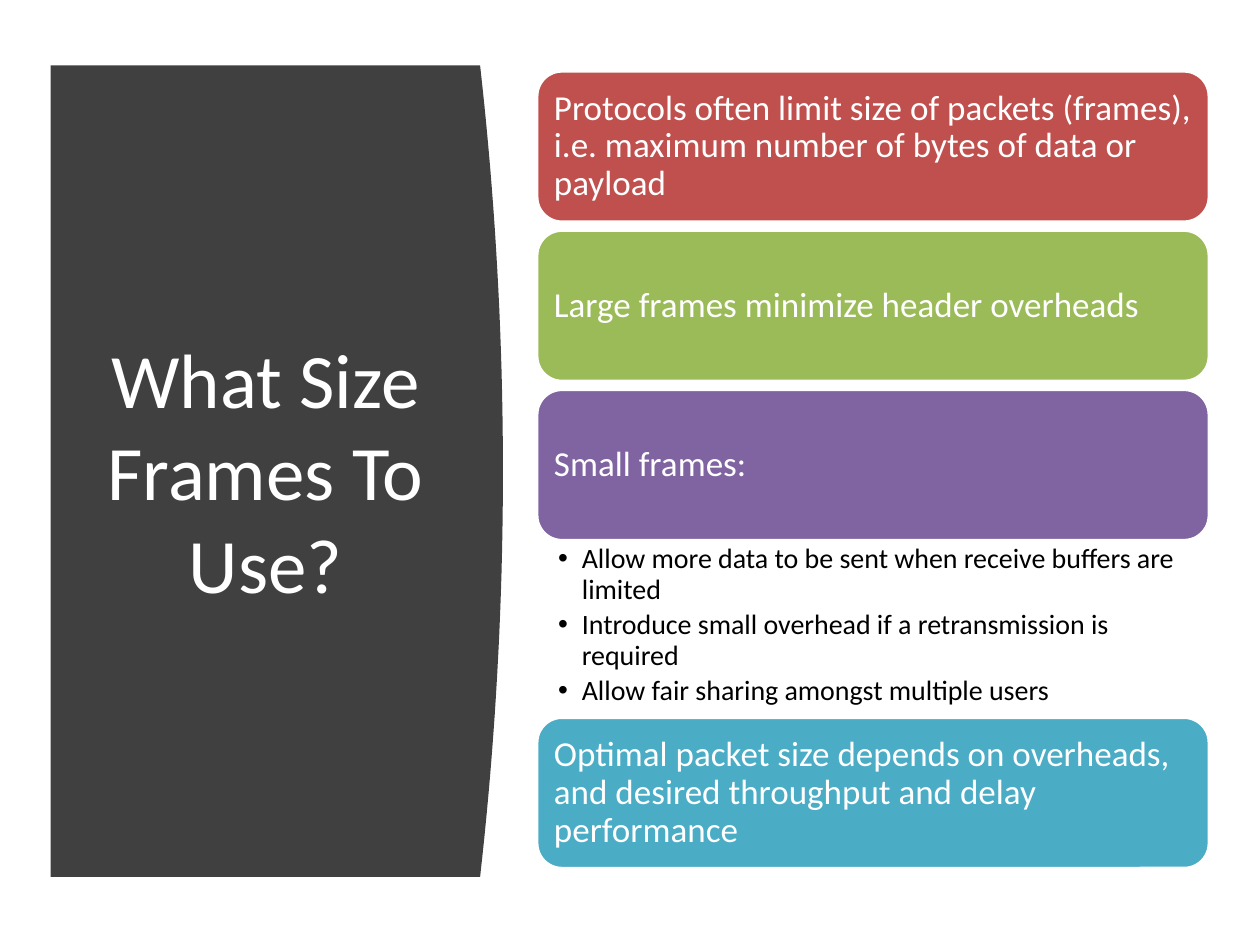
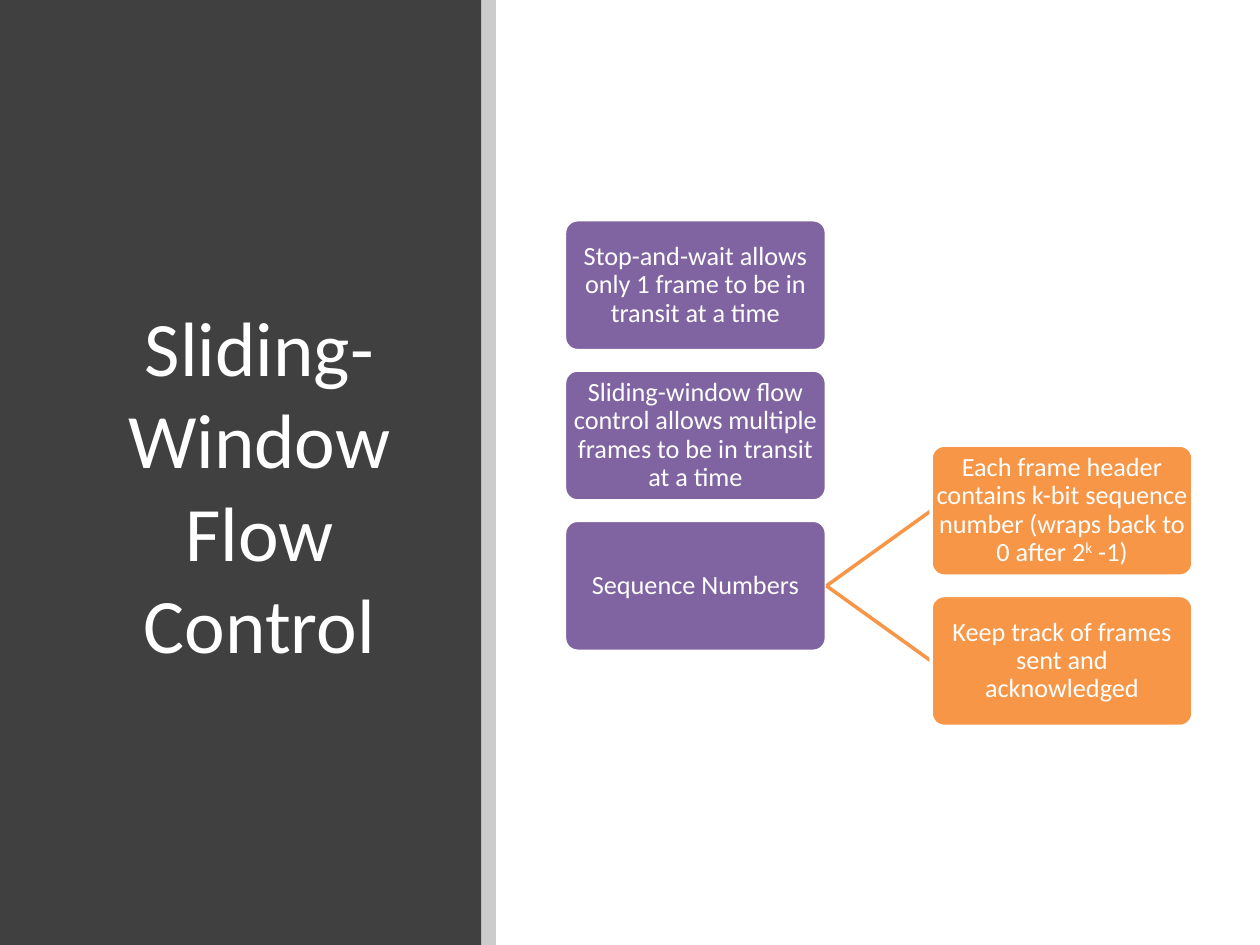
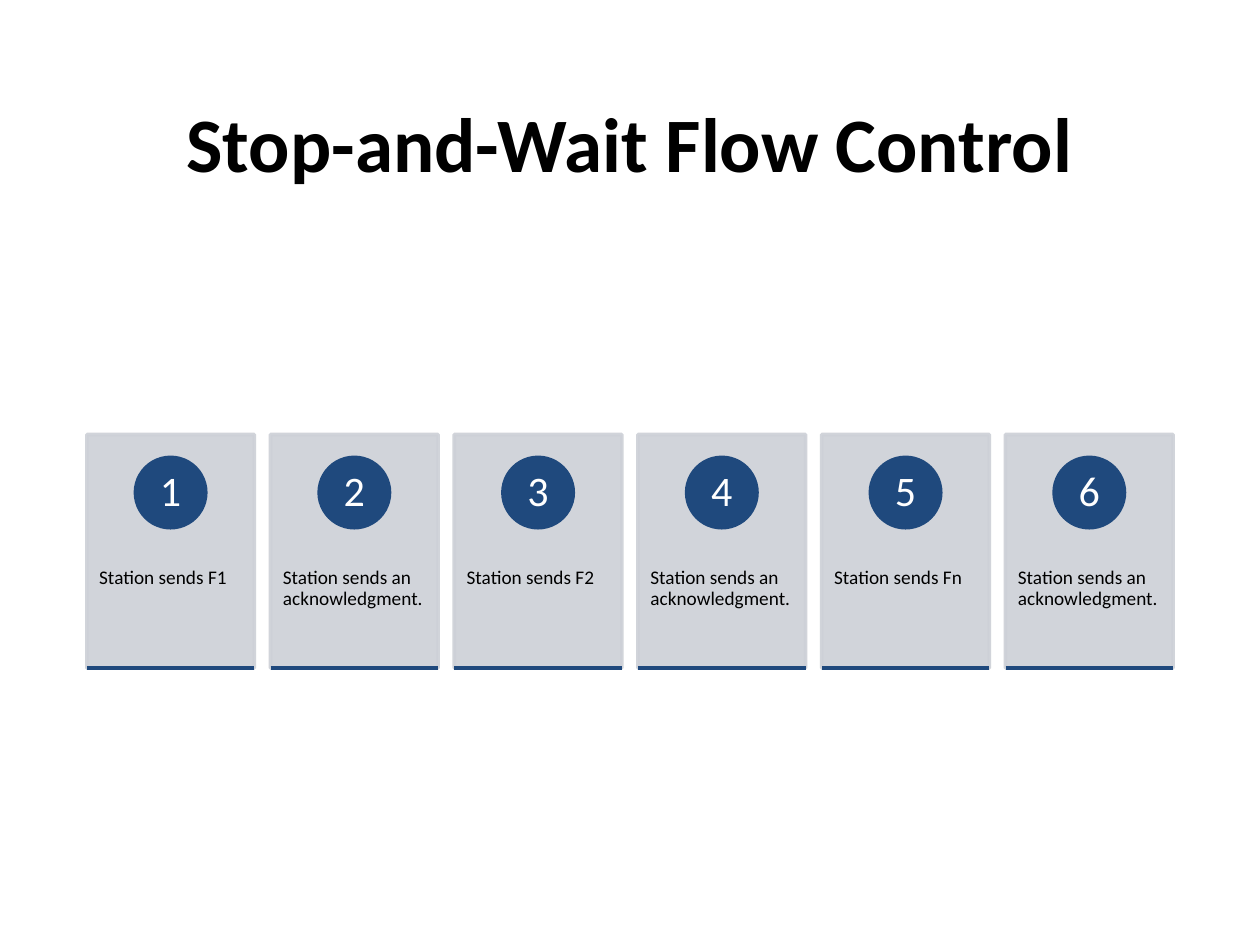
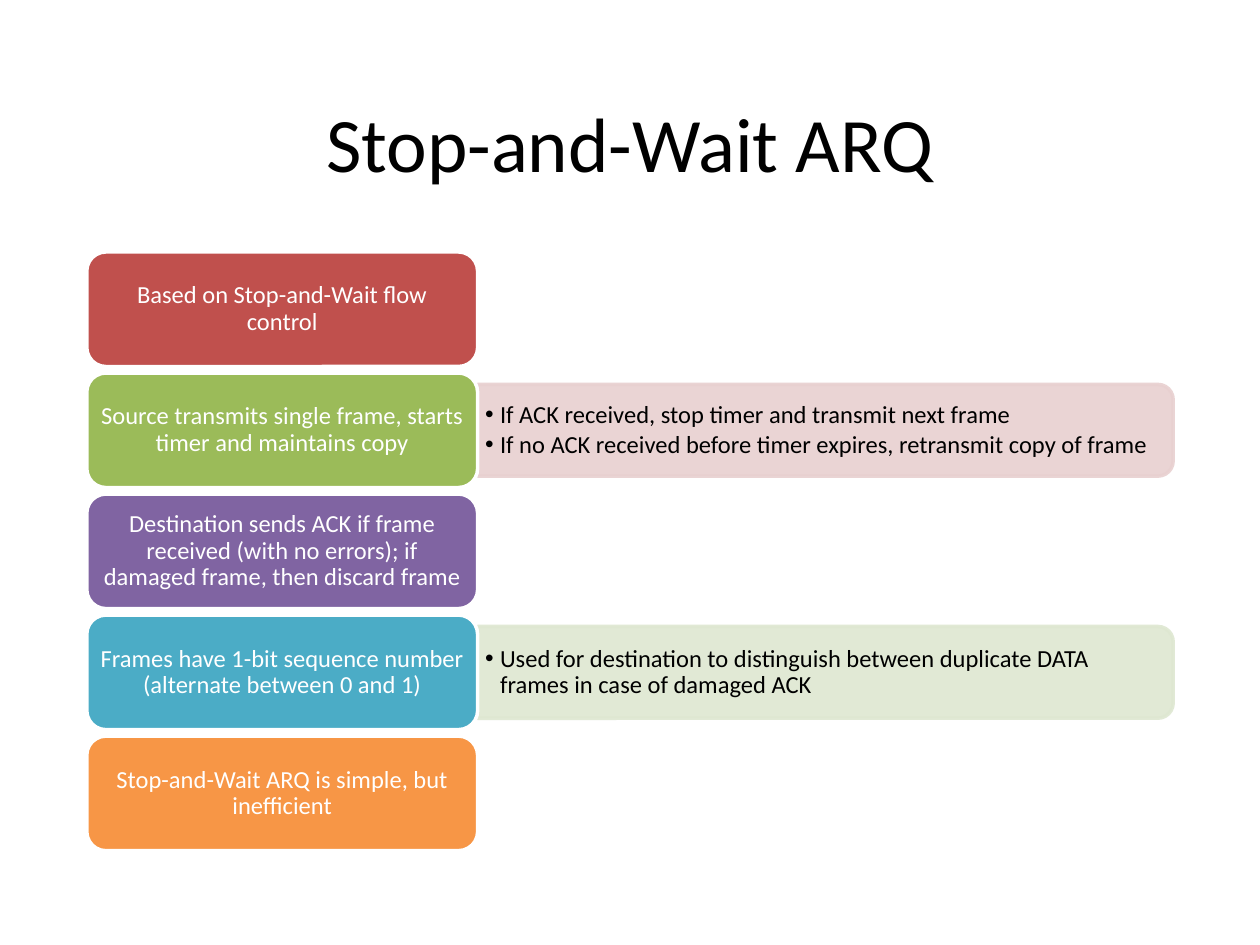
from lxml import etree
from pptx import Presentation, util as u
from pptx.dml.color import RGBColor
from pptx.enum import shapes as sh, text as tx
from pptx.oxml.ns import qn

HUES = {
    "white": "FFFFFF", "black": "000000", "dark": "404040",
    "red": "C0504D", "green": "9BBB59", "plum": "8064A2",
    "teal": "4BACC6", "gold": "F79646", "navy": "1F497D",
    "grey": "CDD0D7", "rose": "E8D0D0", "sage": "DEE7D1",
}
FONT = "Calibri"
WIDE, HIGH = 25.4, 19.05
HEAD = (1.75, 1.02, 21.9, 3.68)
KIND = sh.MSO_SHAPE
MID, TOP = tx.MSO_ANCHOR.MIDDLE, tx.MSO_ANCHOR.TOP
LEFT, MID_X = tx.PP_ALIGN.LEFT, tx.PP_ALIGN.CENTER


# Shared helpers: all boxes are (x, y, width, height) in centimetres
def hue(name):
    return RGBColor.from_string(HUES[name])


def style(par, size, ink, align, bold=False, line=0.9, after=0):
    par.alignment, par.line_spacing = align, line
    par.space_before, par.space_after = u.Pt(0), u.Pt(after)
    for run in par.runs:
        font = run.font
        font.name, font.size, font.bold = FONT, u.Pt(size), bold
        font.color.rgb = hue(ink)


def inset(frame, pads, anchor):
    frame.word_wrap, frame.vertical_anchor = True, anchor
    sides = ("left", "top", "right", "bottom")
    for side, pad in zip(sides, pads):
        setattr(frame, f"margin_{side}", u.Cm(pad))


def paint(shape, fill, edge=None, alpha=None):
    shape.shadow.inherit = False
    shape.fill.solid()
    shape.fill.fore_color.rgb = hue(fill)
    if edge:
        shape.line.color.rgb = hue(edge)
        shape.line.width = u.Pt(2)
    else:
        shape.line.fill.background()
    if alpha:
        for tint in list(shape.element.spPr.iter(qn("a:srgbClr"))):
            etree.SubElement(tint, qn("a:alpha"), val=str(alpha * 1000))


def block(slide, kind, box, fill, edge=None, alpha=None):
    shape = slide.shapes.add_shape(kind, *map(u.Cm, box))
    paint(shape, fill, edge, alpha)
    return shape


def label(shape, words, size, pads, ink="white", align=MID_X, anchor=MID):
    frame = shape.text_frame
    frame.text = words
    inset(frame, pads, anchor)
    style(frame.paragraphs[0], size, ink, align)


def rule(slide, start, end, ink):
    line = slide.shapes.add_connector(
        sh.MSO_CONNECTOR.STRAIGHT, *map(u.Cm, (*start, *end)))
    line.line.color.rgb = hue(ink)
    line.line.width = u.Pt(2)
    etree.SubElement(line.element.spPr, qn("a:effectLst"))


def place(holder, box):
    """Move a placeholder to its box and bring it to the front."""
    holder.left, holder.top, holder.width, holder.height = map(u.Cm, box)
    holder.element.getparent().append(holder.element)
    holder.text_frame.auto_size = tx.MSO_AUTO_SIZE.NONE


def title(slide, words, box=HEAD, ink="black", bold=False):
    holder = slide.shapes.title
    place(holder, box)
    holder.text_frame.text = words
    holder.text_frame.vertical_anchor = MID
    style(holder.text_frame.paragraphs[0], 44, ink, MID_X, bold, line=1)


def bullets(holder, box, items, size, pads, hang, after, anchor):
    place(holder, box)
    frame = holder.text_frame
    frame.text = "\n".join(items)
    inset(frame, pads, anchor)
    for par in frame.paragraphs:
        style(par, size, "black", LEFT, after=after)
        props = par._p.get_or_add_pPr()
        props.set("marL", str(u.Cm(hang)))
        props.set("indent", str(-u.Cm(hang)))
        etree.SubElement(props, qn("a:buChar"), char="•")


# Slide 1: curved panel and a stack of bars
def curve(slide, box, bulge=0.46, steps=40):
    x, y, w, h = box
    edge = []
    for i in range(steps + 1):
        t = 2 * i / steps - 1
        edge.append((u.Cm(x + w - bulge * t * t), u.Cm(y + h * i / steps)))
    form = slide.shapes.build_freeform(u.Cm(x), u.Cm(y))
    form.add_line_segments([*edge, (u.Cm(x), u.Cm(y + h))], close=True)
    paint(form.convert_to_shape(), "dark")


def stack(slide, box, rows, tall=3.05, gap=0.16, deep=3.56):
    x, y, w, _ = box
    for words, fill, items in rows:
        bar = block(slide, KIND.ROUNDED_RECTANGLE, (x, y, w, tall), fill, "white")
        label(bar, words, 20, (0.2,) * 4, align=LEFT)
        y += tall
        if items:
            bullets(slide.placeholders[1], (x, y, w, deep), items, 16,
                    (0.43, 0.08, 0.41, 0.08), 0.48, 3.2, TOP)
            y += deep
        else:
            y += gap


def sizes(slide):
    curve(slide, (1.02, 1.32, 9.12, 16.36))
    title(slide, "What Size Frames To Use?", (1.8, 2.82, 7.11, 13.31), "white")
    stack(slide, (10.82, 1.43, 13.56, 16.1), [
        ("Protocols often limit size of packets (frames), i.e. maximum number "
         "of bytes of data or payload", "red", []),
        ("Large frames minimize header overheads", "green", []),
        ("Small frames:", "plum", [
            "Allow more data to be sent when receive buffers are limited",
            "Introduce small overhead if a retransmission is required",
            "Allow fair sharing amongst multiple users"]),
        ("Optimal packet size depends on overheads, and desired throughput "
         "and delay performance", "teal", []),
    ])


# Slide 2: side panel and a small tree
def node(slide, box, words, fill):
    shape = block(slide, KIND.ROUNDED_RECTANGLE, box, fill, "white")
    shape.adjustments[0] = 0.1
    label(shape, words, 15, (0.03,) * 4)
    return shape


def power(par, upper, rest):
    """Append a raised part and the words after it."""
    for words in (upper, rest):
        par.add_run().text = words
    par.runs[1]._r.get_or_add_rPr().set("baseline", "30000")
    style(par, 15, "white", MID_X)


def tree(slide, box, roots, leaves, wide=5.28, tall=2.64, pitch=3.03):
    x, y, w, _ = box
    for i, words in enumerate(roots):
        root = y + i * pitch
        node(slide, (x, root, wide, tall), words, "plum")
    made = []
    far, mid = x + w - wide, root + tall / 2
    for i, words in enumerate(leaves):
        top = root + (i - (len(leaves) - 1) / 2) * pitch
        rule(slide, (x + wide, mid), (far, top + tall / 2), "gold")
        made.append(node(slide, (far, top, wide, tall), words, "gold"))
    return made


def window(slide):
    side = 9.7
    block(slide, KIND.RECTANGLE, (0, 0, side, HIGH), "dark")
    title(slide, "Sliding-Window Flow Control", (1.75, 2.26, 6.96, 15), "white")
    block(slide, KIND.RECTANGLE, (side, 0, 0.3, HIGH), "black", alpha=20)
    leaves = tree(slide, (11.38, 4.43, 12.67, 10.2), [
        "Stop-and-wait allows only 1 frame to be in transit at a time",
        "Sliding-window flow control allows multiple frames to be in transit "
        "at a time",
        "Sequence Numbers",
    ], [
        "Each frame header contains k-bit sequence number (wraps back to 0 "
        "after 2",
        "Keep track of frames sent and acknowledged",
    ])
    power(leaves[0].text_frame.paragraphs[0], "k", " -1)")


# Slide 3: a row of numbered cards
def card(slide, box, num, words):
    x, y, w, h = box
    disc = 1.42
    base = block(slide, KIND.RECTANGLE, box, "grey", "grey", 90)
    label(base, words, 11, (0.25, 2.69, 0.25, 0.1), "black", LEFT, TOP)
    dot = block(slide, KIND.OVAL, (x + (w - disc) / 2, y + 0.46, disc, disc),
                "navy", "navy")
    label(dot, str(num), 24, (0.1, 0.03, 0.1, 0.03))
    rule(slide, (x, y + h), (x + w, y + h), "navy")


def cards(slide, box, steps, wide=3.38):
    x, y, w, h = box
    pitch = (w - wide) / (len(steps) - 1)
    for i, words in enumerate(steps):
        card(slide, (x + i * pitch, y, wide, h), i + 1, words)


def flow(slide):
    title(slide, "Stop-and-Wait Flow Control", bold=True)
    reply = "Station sends an acknowledgment."
    steps = []
    for frame in ("F1", "F2", "Fn"):
        steps += [f"Station sends {frame}", reply]
    cards(slide, (1.75, 8.76, 21.9, 4.71), steps)


# Slide 4: rows with optional detail bands
def band(slide, box, fill):
    x, y, w, h = box
    turned = (x + (w - h) / 2, y + (h - w) / 2, h, w)
    shape = block(slide, KIND.ROUND_2_SAME_RECTANGLE, turned, fill, fill, 90)
    shape.rotation = 90


def rows(slide, box, lines, wide=7.88, tall=2.31, pitch=2.44):
    x, y, w, _ = box
    edge = x + wide
    holders = iter([slide.placeholders[1], slide.placeholders[2]])
    for i, (words, fill, tint, items) in enumerate(lines):
        top = y + i * pitch
        if items:
            band(slide, (edge, top + 0.23, w - wide, tall - 0.46), tint)
            bullets(next(holders), (edge, top + 0.32, w - wide - 0.1, tall - 0.64),
                    items, 14, (0.15, 0.08, 0.15, 0.08), 0.3, 2.1, MID)
        shape = block(slide, KIND.ROUNDED_RECTANGLE, (x, top, wide, tall),
                      fill, "white")
        label(shape, words, 14, (0.15, 0.08, 0.15, 0.08))


def repeat(slide):
    title(slide, "Stop-and-Wait ARQ")
    rows(slide, (1.75, 5.08, 21.9, 12.1), [
        ("Based on Stop-and-Wait flow control", "red", None, []),
        ("Source transmits single frame, starts timer and maintains copy",
         "green", "rose", [
             "If ACK received, stop timer and transmit next frame",
             "If no ACK received before timer expires, retransmit copy of frame"]),
        ("Destination sends ACK if frame received (with no errors); if damaged "
         "frame, then discard frame", "plum", None, []),
        ("Frames have 1-bit sequence number (alternate between 0 and 1)",
         "teal", "sage", [
             "Used for destination to distinguish between duplicate DATA "
             "frames in case of damaged ACK"]),
        ("Stop-and-Wait ARQ is simple, but inefficient", "gold", None, []),
    ])


def main():
    deck = Presentation()
    deck.slide_width, deck.slide_height = u.Cm(WIDE), u.Cm(HIGH)
    # Layouts: 1 title and body, 3 two bodies, 5 title only
    for build, kind in ((sizes, 1), (window, 5), (flow, 5), (repeat, 3)):
        build(deck.slides.add_slide(deck.slide_layouts[kind]))
    deck.save("out.pptx")


if __name__ == "__main__":
    main()
